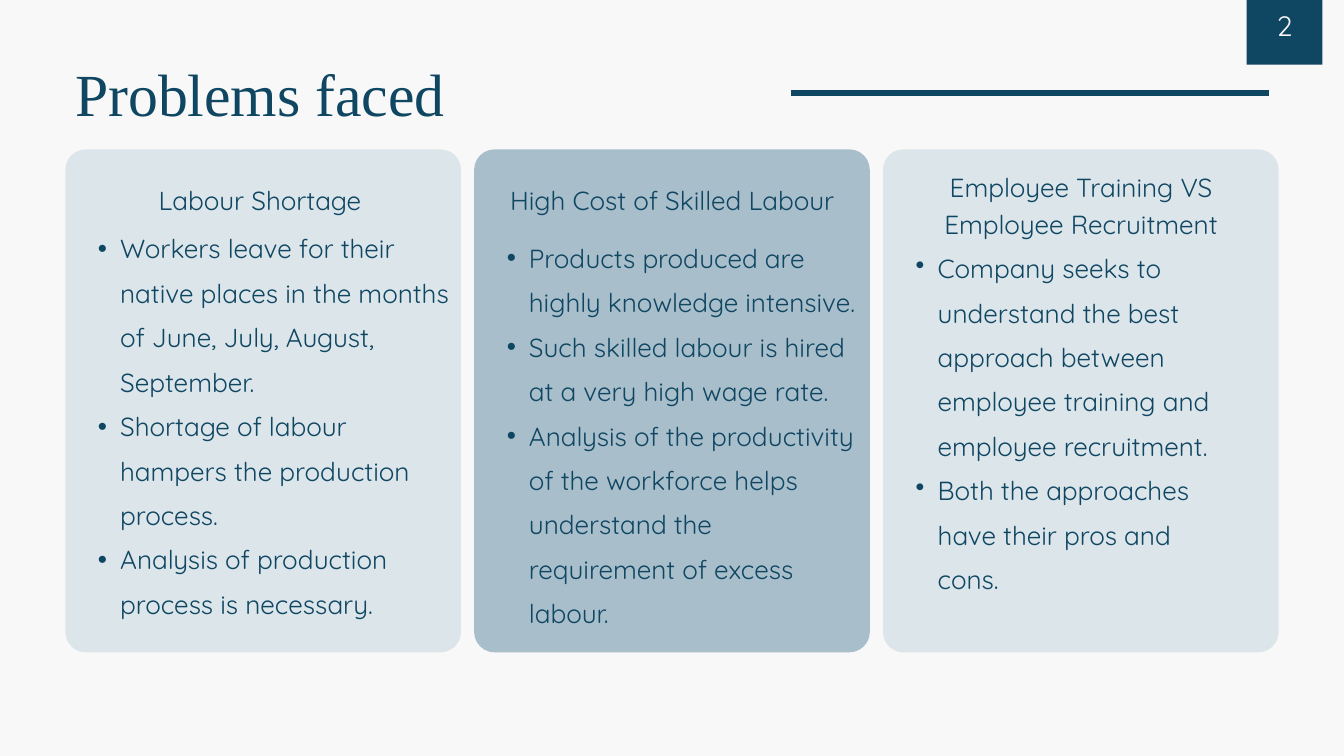
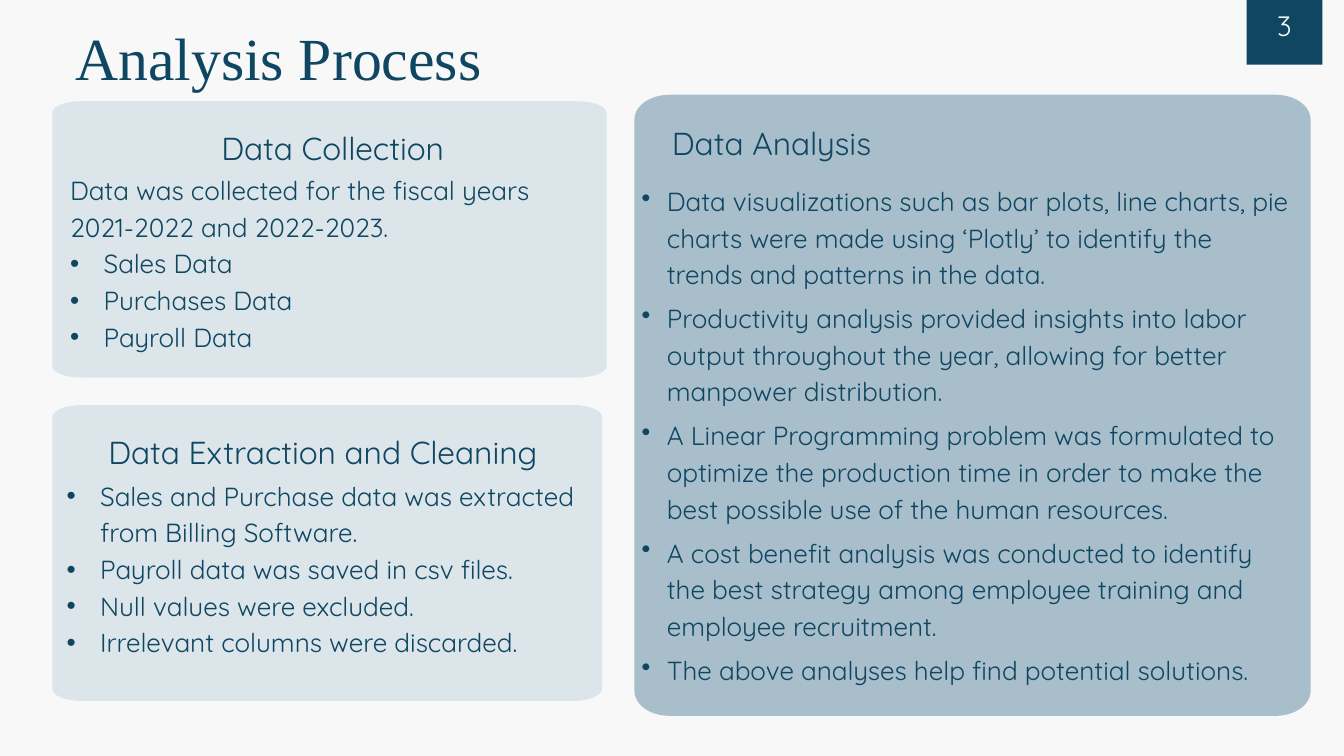
import math
import lxml.etree
import pptx
import pptx.dml.color
import pptx.enum.shapes
import pptx.enum.text
import pptx.oxml.ns
import pptx.util

Pt = pptx.util.Pt
Align = pptx.enum.text.PP_ALIGN
Anchor = pptx.enum.text.MSO_ANCHOR
Preset = pptx.enum.shapes.MSO_SHAPE

NAVY, PALE, STEEL, PAPER = "0F4662", "DBE5EA", "A9BECB", "F8F8F8"
SERIF, SANS = "Times New Roman", "Quicksand"
BADGE = (1335.75, -2.75, 81, 72)
NUMBER = (1335.75, -41.5, 81, 122)
RULE = (848, 1359.5, 99.5)

COLUMN_LEFT, COLUMN_PITCH, COLUMN_TOP = 70, 438, 160
COLUMN_WIDTH, COLUMN_HEIGHT, COLUMN_RADIUS = 424, 539, 22
COLUMN_INSET, COLUMN_TEXT_WIDTH = 11.2, 402

PROBLEMS = [
    {"heading": "Labour Shortage ", "fill": PALE, "heading_top": 192, "list_top": 235.5,
     "list_width": 402,
     "points": ["Workers leave for their native places in the months of June, July, August, September.",
                "Shortage of labour hampers the production process.",
                "Analysis of production process is necessary."]},
    {"heading": "High Cost of Skilled Labour", "fill": STEEL, "heading_top": 192,
     "list_top": 245.5, "list_width": 402,
     "points": ["Products produced are highly knowledge intensive.",
                "Such skilled labour is hired at a very high wage rate.",
                "Analysis of the productivity of the workforce helps understand the "
                "requirement of excess labour."]},
    {"heading": "Employee Training VS Employee Recruitment", "fill": PALE,
     "heading_top": 178.5, "list_top": 256.5, "list_width": 354,
     "points": ["Company seeks to understand the best approach between employee training "
                "and employee recruitment.",
                "Both the approaches have their pros and cons."]},
]

STAGES = [
    {"heading": "Data Collection", "fill": PALE, "card": (56, 108.5, 594, 296),
     "corner": (30.5, 12.5), "heading_box": (80.5, 131, 552, 45),
     "heading_align": Align.CENTER, "heading_spacing": 47.6,
     "list_box": (75, 181.5, 559.5, 193), "indent": 36, "gap": 0,
     "intro": ["Data was collected for the fiscal years 2021-2022 and 2022-2023."],
     "points": ["Sales Data", "Purchases Data", "Payroll Data"]},
    {"heading": "Data Extraction and Cleaning", "fill": PALE, "card": (56, 434, 589, 317),
     "corner": (31, 13), "heading_box": (57.5, 457, 577, 45),
     "heading_align": Align.CENTER, "heading_spacing": 47.6,
     "list_box": (71.25, 509, 561.5, 194), "indent": 36, "gap": 0, "intro": [],
     "points": ["Sales and Purchase data was extracted from Billing Software.",
                "Payroll data was saved in csv files.",
                "Null values were excluded.",
                "Irrelevant columns were discarded."]},
    {"heading": "Data Analysis", "fill": STEEL, "card": (679.75, 101.5, 724.5, 665.5),
     "corner": (37.5, 26.5), "heading_box": (720, 134.5, 421, 40),
     "heading_align": Align.LEFT, "heading_spacing": 39.2,
     "list_box": (687.5, 193, 699, 541.5), "indent": 27, "gap": 8, "intro": [],
     "points": ["Data visualizations such as bar plots, line charts, pie charts were made using "
                "‘Plotly’ to identify the trends and patterns in the data.",
                "Productivity analysis provided insights into labor output throughout the year, "
                "allowing for better manpower distribution.",
                "A Linear Programming problem was formulated to optimize the production time in "
                "order to make the best possible use of the human resources.",
                "A cost benefit analysis was conducted to identify the best strategy among "
                "employee training and employee recruitment.",
                "The above analyses help find potential solutions."]},
]


def color(value):
    return pptx.dml.color.RGBColor.from_string(value)


def paint(shape, fill):
    shape.shadow.inherit = False
    shape.fill.solid()
    shape.fill.fore_color.rgb = color(fill)
    shape.line.fill.background()


def place(shape, box):
    shape.left, shape.top, shape.width, shape.height = map(Pt, box)


def frame_of(shape, box, margin=0, anchor=Anchor.TOP):
    place(shape, box)
    frame = shape.text_frame
    frame.word_wrap = True
    frame.auto_size = pptx.enum.text.MSO_AUTO_SIZE.NONE
    frame.vertical_anchor = anchor
    frame.margin_left = frame.margin_right = frame.margin_top = frame.margin_bottom = Pt(margin)
    return frame


def style(paragraph, size, spacing, font=SANS, ink=NAVY, align=Align.LEFT, after=0,
          bullet=False, margin=0, hanging=0):
    paragraph.alignment = align
    paragraph.line_spacing = Pt(spacing)
    paragraph.space_before = Pt(0)
    paragraph.space_after = Pt(after)
    props = paragraph._p.get_or_add_pPr()
    props.set("marL", str(Pt(margin)))
    props.set("indent", str(-Pt(hanging)))
    tag = pptx.oxml.ns.qn("a:buChar" if bullet else "a:buNone")
    mark = lxml.etree.SubElement(props, tag)
    if bullet:
        mark.set("char", "•")
    paragraph.font.size = Pt(size)
    paragraph.font.name = font
    paragraph.font.bold = False
    paragraph.font.color.rgb = color(ink)


def write_line(shape, box, text, size, spacing, margin=0, anchor=Anchor.TOP, **look):
    frame = frame_of(shape, box, margin, anchor)
    frame.text = text
    style(frame.paragraphs[0], size, spacing, **look)


def write_list(shape, box, intro, points, spacing, margin, hanging, after=0):
    frame = frame_of(shape, box)
    frame.text = "\n".join(intro + points)
    for index, paragraph in enumerate(frame.paragraphs):
        if index < len(intro):
            style(paragraph, 28, spacing)
        else:
            style(paragraph, 28, spacing, after=after, bullet=True, margin=margin, hanging=hanging)


def text_holders(slide):
    bodies = {holder.placeholder_format.idx: holder for holder in slide.placeholders}
    pairs = [(bodies[1], bodies[2]), (bodies[3], bodies[4])]
    blank = [slide.shapes.add_textbox(0, 0, 0, 0) for part in ("heading", "list")]
    return pairs + [tuple(blank)]


def send_behind_text(slide, card):
    slide.shapes.title._element.addprevious(card._element)


def round_card(slide, box, radius, fill):
    card = slide.shapes.add_shape(Preset.ROUNDED_RECTANGLE, *map(Pt, box))
    card.adjustments[0] = radius / min(box[2:])
    paint(card, fill)
    send_behind_text(slide, card)


def oval_corner_card(slide, box, corner, fill, steps=10):
    left, top, width, height = box
    rx, ry = corner
    centers = [(left + width - rx, top + height - ry), (left + rx, top + height - ry),
               (left + rx, top + ry), (left + width - rx, top + ry)]
    outline = []
    for quarter, (cx, cy) in enumerate(centers):
        for step in range(steps + 1):
            angle = (quarter + step / steps) * math.pi / 2
            outline.append((Pt(cx + rx * math.cos(angle)), Pt(cy + ry * math.sin(angle))))
    builder = slide.shapes.build_freeform(*outline[0])
    builder.add_line_segments(outline[1:], close=True)
    card = builder.convert_to_shape()
    paint(card, fill)
    send_behind_text(slide, card)


def start_slide(deck, title, title_box, number):
    slide = deck.slides.add_slide(deck.slide_layouts[4])
    write_line(slide.shapes.title, title_box, title, 64, 89.6, font=SERIF)
    paint(slide.shapes.add_shape(Preset.RECTANGLE, *map(Pt, BADGE)), NAVY)
    write_line(slide.shapes.add_textbox(0, 0, 0, 0), NUMBER, str(number), 30, 51,
               margin=4, anchor=Anchor.MIDDLE, ink=PAPER, align=Align.CENTER)
    return slide


def build_problems(deck):
    slide = start_slide(deck, "Problems faced", (80.5, 47.5, 639.5, 86.5), 2)
    start, end, level = map(Pt, RULE)
    rule = slide.shapes.add_connector(pptx.enum.shapes.MSO_CONNECTOR.STRAIGHT,
                                      start, level, end, level)
    rule.line.color.rgb = color(NAVY)
    rule.line.width = Pt(6)
    lxml.etree.SubElement(rule._element.spPr, pptx.oxml.ns.qn("a:effectLst"))
    for column, (problem, (heading, points)) in enumerate(zip(PROBLEMS, text_holders(slide))):
        left = COLUMN_LEFT + column * COLUMN_PITCH
        text_left = left + COLUMN_INSET
        round_card(slide, (left, COLUMN_TOP, COLUMN_WIDTH, COLUMN_HEIGHT),
                   COLUMN_RADIUS, problem["fill"])
        heading_height = problem["list_top"] - problem["heading_top"]
        write_line(heading, (text_left, problem["heading_top"], COLUMN_TEXT_WIDTH, heading_height),
                   problem["heading"], 28, 39.2, align=Align.CENTER)
        write_list(points, (text_left, problem["list_top"], problem["list_width"], 430),
                   [], problem["points"], 47.6, margin=47.5, hanging=23.75)


def build_process(deck):
    slide = start_slide(deck, "Analysis Process", (80.5, 9.5, 1108, 86.5), 3)
    for stage, (heading, points) in zip(STAGES, text_holders(slide)):
        oval_corner_card(slide, stage["card"], stage["corner"], stage["fill"])
        write_line(heading, stage["heading_box"], stage["heading"], 34,
                   stage["heading_spacing"], align=stage["heading_align"])
        write_list(points, stage["list_box"], stage["intro"], stage["points"], 39.2,
                   margin=stage["indent"], hanging=stage["indent"], after=stage["gap"])


def main():
    deck = pptx.Presentation()
    deck.slide_width, deck.slide_height = Pt(1440), Pt(810)
    backdrop = deck.slide_master.background.fill
    backdrop.solid()
    backdrop.fore_color.rgb = color(PAPER)
    build_problems(deck)
    build_process(deck)
    deck.save("out.pptx")


if __name__ == "__main__":
    main()
